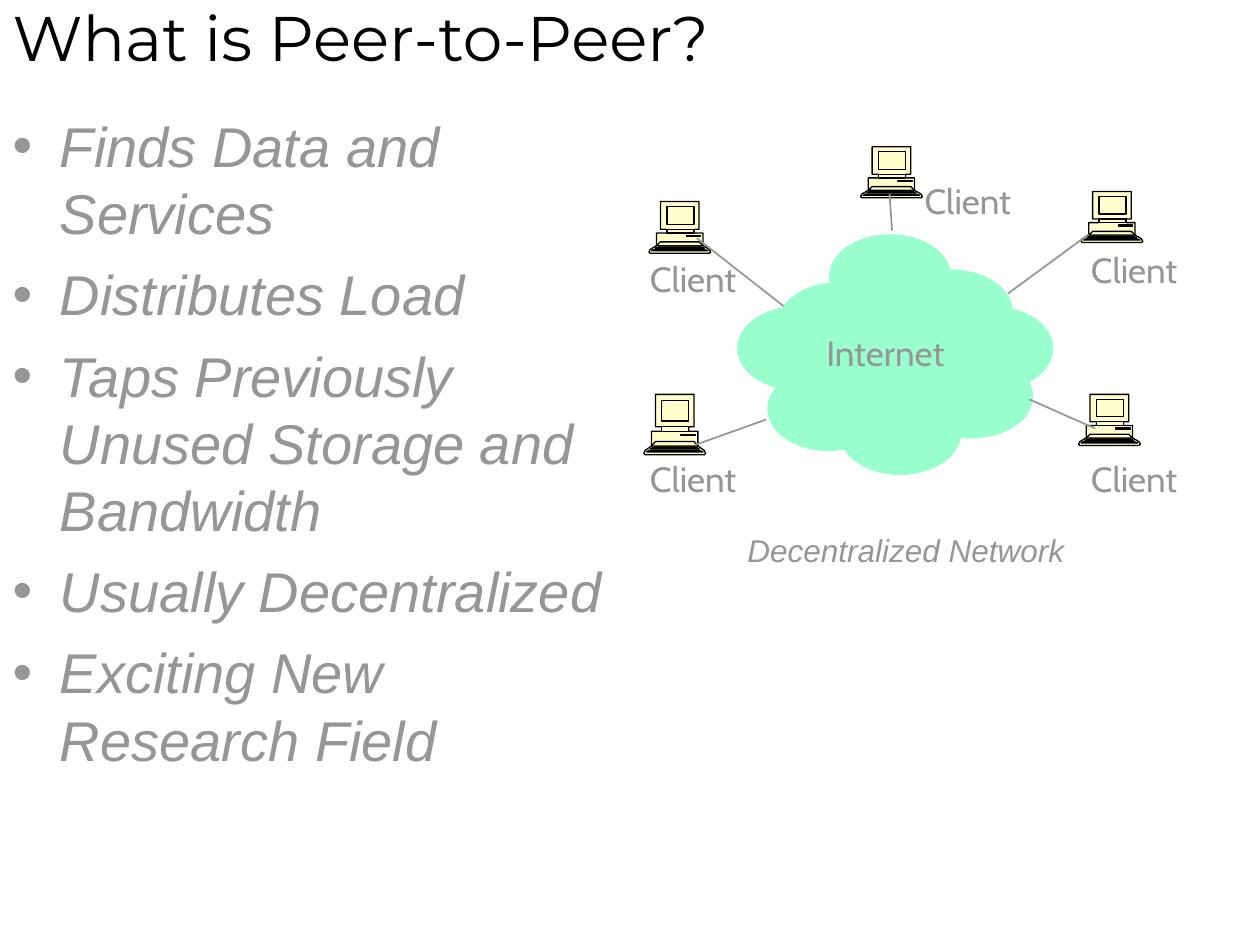
from copy import deepcopy
from dataclasses import dataclass
from typing import NamedTuple

from lxml import etree
from pptx import Presentation
from pptx.dml.color import RGBColor
from pptx.enum.shapes import MSO_CONNECTOR, MSO_SHAPE
from pptx.enum.text import MSO_ANCHOR, MSO_AUTO_SIZE, PP_ALIGN
from pptx.oxml.ns import qn
from pptx.util import Inches, Pt

OVAL, LINE = MSO_SHAPE.OVAL, MSO_CONNECTOR.STRAIGHT
LEFT, MID = PP_ALIGN.LEFT, PP_ALIGN.CENTER
TOP, HALF = MSO_ANCHOR.TOP, MSO_ANCHOR.MIDDLE
FIXED = MSO_AUTO_SIZE.NONE

# Grid: 100 columns by 75 rows
COLS, ROWS = 100, 75
WIDE, HIGH = Inches(10), Inches(7.5)


@dataclass(frozen=True)
class Font:
    name: str
    size: float
    tint: RGBColor
    slant: bool = False


@dataclass(frozen=True)
class Theme:
    ink: RGBColor = RGBColor(0, 0, 0)
    gray: RGBColor = RGBColor(0x96, 0x96, 0x96)
    mint: RGBColor = RGBColor(0x99, 0xFF, 0xCC)
    cream: RGBColor = RGBColor(0xFF, 0xFF, 0xCC)
    title: Font = Font("Montserrat", 36, ink)
    body: Font = Font("Arial", 32, gray, True)
    label: Font = Font("Cabin", 20, gray)
    note: Font = Font("Arial", 18, gray, True)


class Box(NamedTuple):
    col: float
    row: float
    wide: float
    high: float


class Client(NamedTuple):
    col: float
    row: float
    high: float
    tag: tuple[float, float]
    link: tuple[float, float, float, float]


THEME = Theme()
BULLETS = (
    "Finds Data and Services",
    "Distributes Load",
    "Taps Previously Unused Storage and Bandwidth",
    "Usually Decentralized",
    "Exciting New Research Field",
)
PUFF = (9.7, 6.7)
PUFFS = (
    (61.7, 22.4), (65.8, 18.6), (70.7, 21.4), (72.3, 24.3), (73.9, 24.3),
    (72.3, 28.1), (66.6, 31), (58.5, 24.3), (65.8, 25.2), (60.9, 29.1),
)
CLIENTS = (
    Client(85.6, 31.3, 4.05, (85.6, 35.8), (86.9, 34, 81.7, 31.7)),
    Client(51.5, 16, 4.1, (50.6, 19.95), (62.2, 24.3, 55.3, 18.9)),
    Client(51.1, 31.3, 4.8, (50.6, 35.8), (55.2, 35.3, 60.8, 33.3)),
    Client(68.3, 11.65, 4.05, (72.4, 13.75), (70.8, 18.3, 70.6, 15.4)),
    Client(85.8, 15.2, 4.05, (85.6, 19.25), (80, 23.3, 86.4, 18.6)),
)


def block(x: int, y: int, right: int, low: int) -> tuple:
    return (x, y), (right, y), (right, low), (x, low)


# Computer outlines, on a field of 48 by 41 units
UNITS = (48, 41)
CASE = (
    (47, 38), (42, 35), (42, 25), (35, 25), (35, 22), (39, 22), (39, 0),
    (9, 0), (9, 22), (14, 22), (14, 25), (6, 25), (6, 35), (1, 38),
    (0, 40), (1, 41), (47, 41), (48, 40),
)
KEYS = tuple(
    ((40 + 3 * n, 35 + 2 * n), (39 + 2 * n, 34 + 2 * n),
     (10 - 3 * n, 34 + 2 * n), (8 - 3 * n, 35 + 2 * n))
    for n in range(3)
)
DECK = ((42, 35), (39, 32), (9, 32), (6, 35))
PARTS = (CASE, *KEYS, DECK, block(29, 27, 40, 28),
         block(14, 4, 35, 18), block(14, 22, 35, 25))


def across(cols: float) -> int:
    return round(WIDE * cols / COLS)


def down(rows: float) -> int:
    return round(HIGH * rows / ROWS)


def place(box: Box) -> tuple[int, int, int, int]:
    return across(box.col), down(box.row), across(box.wide), down(box.high)


def style(par, font: Font, align=LEFT) -> None:
    par.alignment = align
    for run in par.runs:
        run.font.name, run.font.size = font.name, Pt(font.size)
        run.font.italic = font.slant
        run.font.color.rgb = font.tint


def settle(holder, box: Box, anchor) -> None:
    holder.left, holder.top, holder.width, holder.height = place(box)
    frame = holder.text_frame
    frame.auto_size, frame.vertical_anchor = FIXED, anchor


def label(shapes, text: str, box: Box, font: Font, align=LEFT):
    frame = shapes.add_textbox(*place(box)).text_frame
    frame.word_wrap = False
    frame.text = text
    style(frame.paragraphs[0], font, align)
    return frame.paragraphs[0]


def paint(shape, tint: RGBColor) -> None:
    shape.shadow.inherit = False
    shape.fill.solid()
    shape.fill.fore_color.rgb = tint


def cloud(shapes) -> None:
    for spot in PUFFS:
        puff = shapes.add_shape(OVAL, *place(Box(*spot, *PUFF)))
        paint(puff, THEME.mint)
        puff.line.fill.background()


def split(shape) -> None:
    """Give each closed outline its own fill, so overlaps stay solid."""
    whole = next(shape._element.iter(qn("a:path")))
    steps = list(whole)
    base = deepcopy(whole)
    for step in list(base):
        base.remove(step)
    home = whole.getparent()
    home.remove(whole)
    for step in steps:
        if step.tag == qn("a:moveTo"):
            part = deepcopy(base)
            home.append(part)
        part.append(step)


def computer(shapes, client: Client) -> None:
    scale = (across(4.9) / UNITS[0], down(client.high) / UNITS[1])
    pen = shapes.build_freeform(*CASE[0], scale=scale)
    for first, *rest in PARTS:
        if (first, *rest) != CASE:
            pen.move_to(*first)
        pen.add_line_segments(rest, close=True)
    shape = pen.convert_to_shape(across(client.col), down(client.row))
    split(shape)
    paint(shape, THEME.cream)
    shape.line.color.rgb, shape.line.width = THEME.ink, Pt(0.75)


def link(shapes, ends: tuple[float, float, float, float]) -> None:
    x, y, right, low = ends
    line = shapes.add_connector(LINE, across(x), down(y), across(right), down(low))
    line.line.color.rgb, line.line.width = THEME.gray, Pt(1)
    etree.SubElement(line._element.spPr, qn("a:effectLst"))


def main() -> None:
    deck = Presentation()
    deck.slide_width, deck.slide_height = WIDE, HIGH
    slide = deck.slides.add_slide(deck.slide_layouts[1])

    # Title and list
    title, body = slide.shapes.title, slide.placeholders[1]
    settle(title, Box(0, -0.85, 100, 7.5), HALF)
    title.text_frame.text = "What is Peer-to-Peer?"
    style(title.text_frame.paragraphs[0], THEME.title)
    settle(body, Box(0, 8.35, 49.2, 61.7), TOP)
    body.text_frame.text = "\n".join(BULLETS)
    for par in body.text_frame.paragraphs:
        style(par, THEME.body)
        par.space_before = Pt(8)
        props = par._p.get_or_add_pPr()
        props.set("marL", str(across(3.75)))
        props.set("indent", str(-across(3.75)))

    # Network
    net = slide.shapes.add_group_shape().shapes
    cloud(net)
    for client in CLIENTS:
        computer(net, client)
    for client in CLIENTS:
        link(net, client.link)
    for client in CLIENTS:
        label(net, "Client", Box(*client.tag, 9.5, 4.4), THEME.label)
    label(net, "Internet", Box(64.6, 25.8, 12.7, 4.4), THEME.label)
    note = label(net, "Decentralized Network", Box(54.6, 41.65, 34.6, 4),
                 THEME.note, MID)
    note.space_before = Pt(4.5)
    deck.save("out.pptx")


if __name__ == "__main__":
    main()
